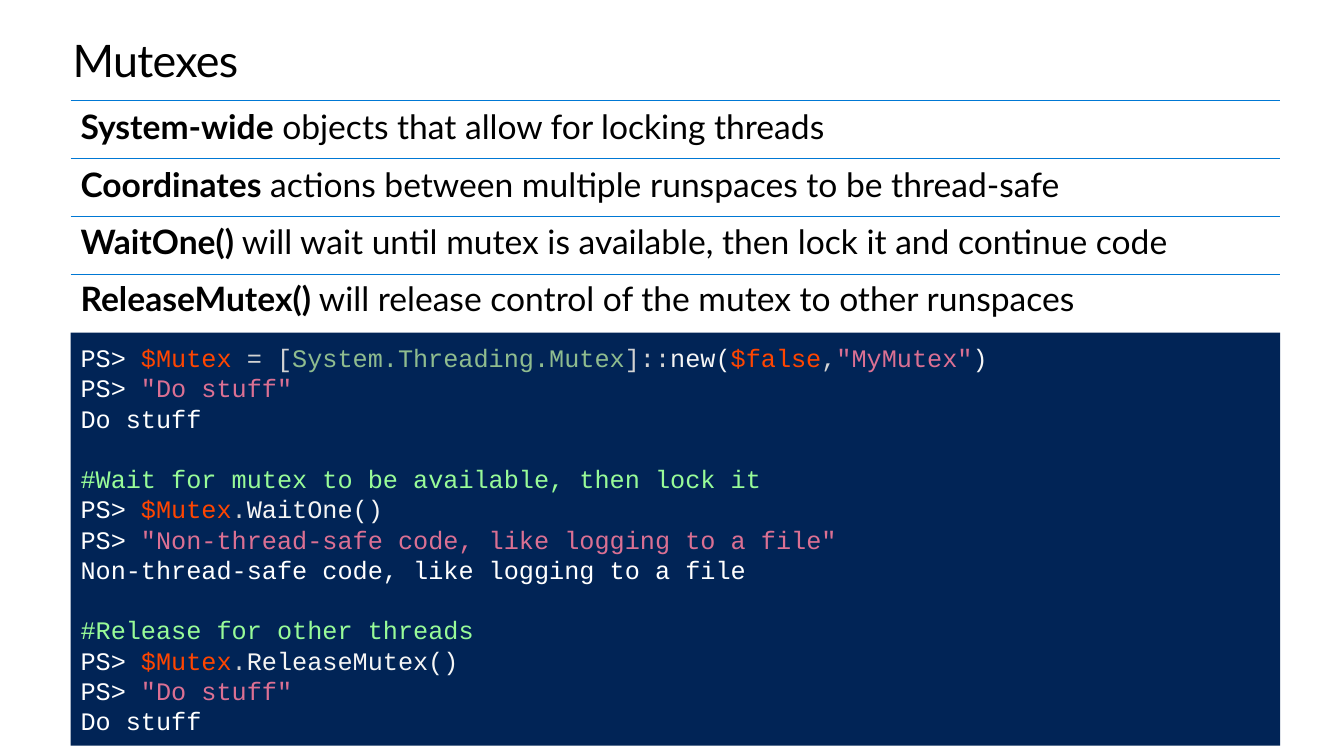
from pptx import Presentation
from pptx.dml.color import RGBColor
from pptx.enum.shapes import MSO_CONNECTOR, MSO_SHAPE
from pptx.enum.text import MSO_ANCHOR, MSO_AUTO_SIZE, PP_ALIGN
from pptx.oxml.ns import qn
from pptx.util import Cm, Pt
from lxml.etree import SubElement

BLACK = RGBColor(0x00, 0x00, 0x00)
RULE_BLUE = RGBColor(0x00, 0x78, 0xD4)
CONSOLE_BLUE = RGBColor(0x01, 0x24, 0x56)
OUTPUT = RGBColor(0xFF, 0xFF, 0xFF)
VARIABLE = RGBColor(0xFF, 0x45, 0x00)
OPERATOR = RGBColor(0xD3, 0xD3, 0xD3)
TYPE = RGBColor(0x8F, 0xBC, 0x8F)
METHOD = RGBColor(0xF5, 0xF5, 0xF5)
STRING = RGBColor(0xDB, 0x70, 0x93)
COMMENT = RGBColor(0x98, 0xFB, 0x98)

LEFT, WIDTH = Cm(1.78), Cm(30.48)
LIST_TOP, ROW_HEIGHT = Cm(2.54), Cm(1.46)
INSET = Cm(0.25)
CODE_LINE = Pt(21.6)

POINTS = [
    ("System-wide", " objects that allow for locking threads"),
    ("Coordinates", " actions between multiple runspaces to be thread-safe"),
    ("WaitOne()", " will wait until mutex is available, then lock it and continue code"),
    ("ReleaseMutex()", " will release control of the mutex to other runspaces"),
]

PROMPT = ("PS> ", OUTPUT)
DO_STUFF = [[PROMPT, ('"Do stuff"', STRING)], [("Do stuff", OUTPUT)]]


def method_call(name):
    return [PROMPT, ("$Mutex", VARIABLE), (".", OPERATOR), (name, METHOD)]


# Each block of code is separated from the next by one line of space
CODE_BLOCKS = [
    [
        [PROMPT, ("$Mutex ", VARIABLE), ("= [", OPERATOR),
         ("System.Threading.Mutex", TYPE), ("]::", OPERATOR), ("new(", METHOD),
         ("$false", VARIABLE), (",", OPERATOR), ('"MyMutex"', STRING), (")", METHOD)],
        *DO_STUFF,
    ],
    [
        [("#Wait for mutex to be available, then lock it", COMMENT)],
        method_call("WaitOne()"),
        [PROMPT, ('"Non-thread-safe code, like logging to a file"', STRING)],
        [("Non-thread-safe code, like logging to a file", OUTPUT)],
    ],
    [
        [("#Release for other threads", COMMENT)],
        method_call("ReleaseMutex()"),
        *DO_STUFF,
    ],
]


def set_attributes(target, values):
    for name, value in values.items():
        setattr(target, name, value)


def format_frame(shape, inset, auto_size=MSO_AUTO_SIZE.NONE):
    sides = ("margin_left", "margin_top", "margin_right", "margin_bottom")
    set_attributes(shape.text_frame, {
        **dict.fromkeys(sides, inset), "word_wrap": True,
        "auto_size": auto_size, "vertical_anchor": MSO_ANCHOR.TOP})


def next_paragraph(text_frame, first):
    return text_frame.paragraphs[0] if first else text_frame.add_paragraph()


def add_run(paragraph, text, color, **font_values):
    run = paragraph.add_run()
    run.text = text
    set_attributes(run.font, font_values)
    run.font.color.rgb = color
    return run


def fill_title(shape, text):
    set_attributes(shape, {"left": Cm(1.83), "top": Cm(0.89),
                           "width": Cm(30.23), "height": Cm(1.27)})
    format_frame(shape, 0, MSO_AUTO_SIZE.SHAPE_TO_FIT_TEXT)
    paragraph = shape.text_frame.paragraphs[0]
    set_attributes(paragraph, {"alignment": PP_ALIGN.LEFT, "line_spacing": Pt(36.2)})
    run = add_run(paragraph, text, BLACK, name="Lato", size=Pt(32))
    run.font._element.set("spc", "-50")


def fill_list(shape, points):
    set_attributes(shape, {"left": LEFT, "top": LIST_TOP,
                           "width": WIDTH, "height": ROW_HEIGHT * len(points)})
    format_frame(shape, INSET)
    for index, (term, explanation) in enumerate(points):
        paragraph = next_paragraph(shape.text_frame, index == 0)
        set_attributes(paragraph, {"line_spacing": 0.9, "space_before": Pt(0),
                                   "space_after": Pt(15)})
        properties = paragraph._p.get_or_add_pPr()
        properties.set("marL", "0")
        properties.set("indent", "0")
        SubElement(properties, qn("a:buNone"))
        for text, bold in ((term, True), (explanation, False)):
            add_run(paragraph, text, BLACK, name="Lato", size=Pt(24), bold=bold)


def add_rule(slide, top):
    rule = slide.shapes.add_connector(MSO_CONNECTOR.STRAIGHT, LEFT, top, LEFT + WIDTH, top)
    rule.line.color.rgb = RULE_BLUE
    rule.line.width = Pt(1)
    SubElement(rule._element.spPr, qn("a:effectLst"))


def add_console(slide, blocks):
    shape = slide.shapes.add_shape(MSO_SHAPE.RECTANGLE, LEFT, Cm(8.38), WIDTH, Cm(10.41))
    shape.shadow.inherit = False
    shape.fill.solid()
    shape.fill.fore_color.rgb = CONSOLE_BLUE
    shape.line.fill.background()
    format_frame(shape, INSET)
    for block_index, block in enumerate(blocks):
        for line_index, pieces in enumerate(block):
            paragraph = next_paragraph(shape.text_frame, block_index == line_index == 0)
            paragraph.alignment = PP_ALIGN.LEFT
            if block_index and line_index == 0:
                paragraph.space_before = CODE_LINE
            for text, color in pieces:
                add_run(paragraph, text, color, name="Courier New", size=Pt(18))


def main():
    presentation = Presentation()
    set_attributes(presentation, {"slide_width": Cm(33.87), "slide_height": Cm(19.05)})
    slide = presentation.slides.add_slide(presentation.slide_layouts[1])

    # Title and list of points
    fill_title(slide.shapes.title, "Mutexes")
    fill_list(slide.placeholders[1], POINTS)

    # Rule above each point
    for row in range(len(POINTS)):
        add_rule(slide, LIST_TOP + row * ROW_HEIGHT)

    # Console with the code sample
    add_console(slide, CODE_BLOCKS)

    presentation.save("out.pptx")


if __name__ == "__main__":
    main()
